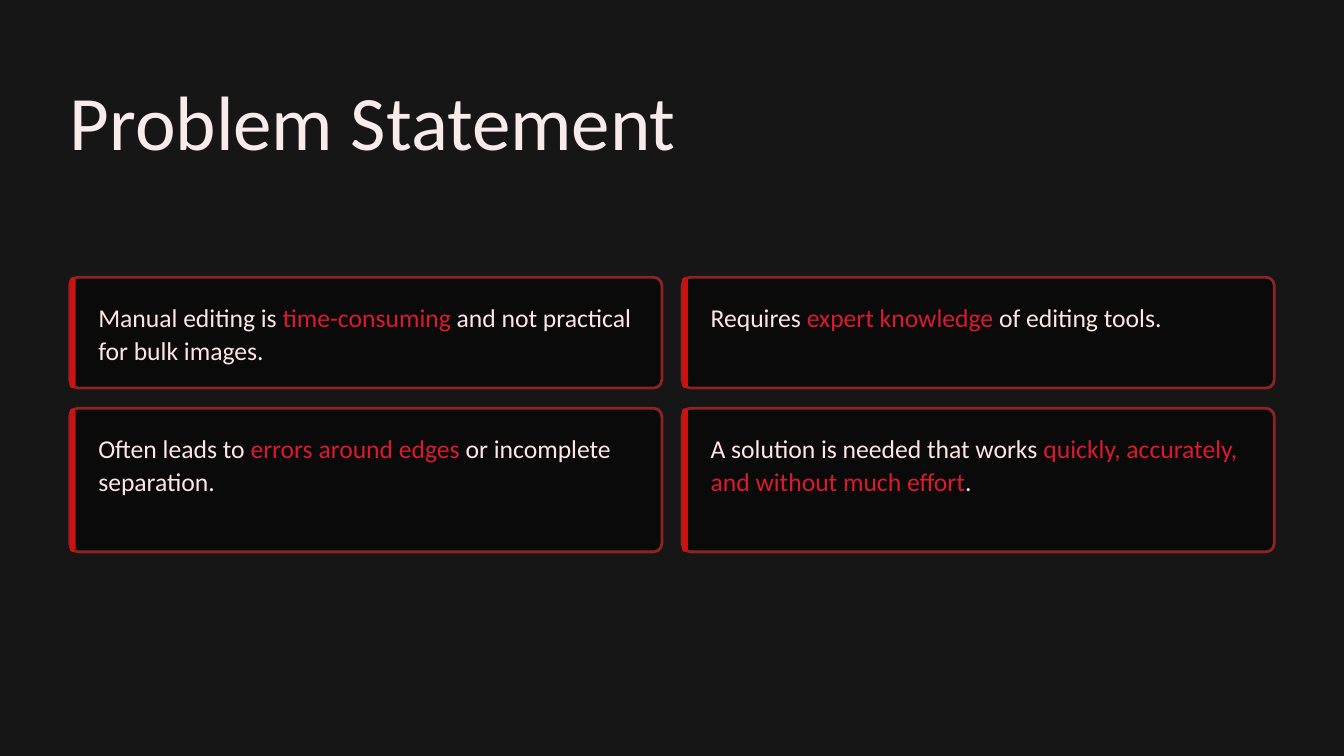
from lxml import etree
from pptx import Presentation
from pptx.dml.color import RGBColor
from pptx.enum.shapes import MSO_SHAPE
from pptx.enum.text import MSO_ANCHOR, MSO_AUTO_SIZE, PP_ALIGN
from pptx.oxml.ns import qn
from pptx.util import Inches, Pt

TITLE = "Problem Statement"
# Each card: text before, highlighted text, text after
CARD_ROWS = [
    [
        ("Manual editing is ", "time-consuming", " and not practical for bulk images."),
        ("Requires ", "expert knowledge", " of editing tools."),
    ],
    [
        ("Often leads to ", "errors around edges", " or incomplete separation."),
        ("A solution is needed that works ",
         "quickly, accurately, and without much effort", "."),
    ],
]

BACKGROUND = RGBColor(0x16, 0x16, 0x16)
CARD_FILL = RGBColor(0x0A, 0x0A, 0x0A)
CARD_BORDER = RGBColor(0x8D, 0x24, 0x24)
ACCENT = RGBColor(0xC9, 0x13, 0x13)
TITLE_COLOR = RGBColor(0xFA, 0xEB, 0xEB)
BODY_COLOR = RGBColor(0xFF, 0xE5, 0xE5)
HIGHLIGHT = RGBColor(0xDA, 0x1B, 0x2E)

ROUNDED = MSO_SHAPE.ROUNDED_RECTANGLE
TOP = MSO_ANCHOR.TOP
NO_AUTOFIT = MSO_AUTO_SIZE.NONE
LEFT = PP_ALIGN.LEFT

FONT = "Calibri"
LINE_SPACING = Pt(28)
SLIDE_WIDTH, SLIDE_HEIGHT = 16, 9
MARGIN = 0.83
GAP = 0.24
GRID_TOP = 3.3
ROW_HEIGHTS = [1.32, 1.71]
CARD_WIDTH = (SLIDE_WIDTH - 2 * MARGIN - GAP) / 2
CORNER_RADIUS = 0.1
STRIP_WIDTH = 0.07
PADDING_X, PADDING_Y = 0.34, 0.27


def add_rounded(slide, left, top, width, height, radius, color):
    shape = slide.shapes.add_shape(
        ROUNDED, Inches(left), Inches(top), Inches(width), Inches(height))
    shape.adjustments[0] = radius / min(width, height)
    shape.shadow.inherit = False
    shape.fill.solid()
    shape.fill.fore_color.rgb = color
    shape.line.fill.background()
    return shape


def set_opacity(shape, percent):
    color = shape.fill._xPr.find(qn("a:solidFill"))[0]
    etree.SubElement(color, qn("a:alpha")).set("val", str(percent * 1000))


def prepare_frame(text_frame):
    """Remove insets, wrap the text and return the first paragraph."""
    text_frame.margin_left = text_frame.margin_right = 0
    text_frame.margin_top = text_frame.margin_bottom = 0
    text_frame.word_wrap = True
    text_frame.auto_size = NO_AUTOFIT
    text_frame.vertical_anchor = TOP
    paragraph = text_frame.paragraphs[0]
    paragraph.alignment = LEFT
    paragraph.line_spacing = LINE_SPACING
    return paragraph


def add_run(paragraph, text, size, color):
    run = paragraph.add_run()
    run.text = text
    run.font.name = FONT
    run.font.size = Pt(size)
    run.font.color.rgb = color


def add_title(slide):
    title = slide.shapes.title
    title.left, title.top = Inches(MARGIN), Inches(1.59)
    title.width, title.height = Inches(7.4), Inches(0.47)
    add_run(prepare_frame(title.text_frame), TITLE, 66, TITLE_COLOR)


def add_card(slide, left, top, height, parts):
    card = add_rounded(slide, left, top, CARD_WIDTH, height, CORNER_RADIUS, CARD_FILL)
    set_opacity(card, 95)
    card.line.color.rgb = CARD_BORDER
    card.line.width = Pt(2.4)
    add_rounded(slide, left, top, STRIP_WIDTH, height, STRIP_WIDTH / 2, ACCENT)

    box = slide.shapes.add_textbox(
        Inches(left + PADDING_X), Inches(top + PADDING_Y),
        Inches(CARD_WIDTH - 0.6), Inches(height - 2 * PADDING_Y))
    paragraph = prepare_frame(box.text_frame)
    for text, color in zip(parts, (BODY_COLOR, HIGHLIGHT, BODY_COLOR)):
        add_run(paragraph, text, 22, color)


def main():
    presentation = Presentation()
    presentation.slide_width = Inches(SLIDE_WIDTH)
    presentation.slide_height = Inches(SLIDE_HEIGHT)
    slide = presentation.slides.add_slide(presentation.slide_layouts[5])
    slide.background.fill.solid()
    slide.background.fill.fore_color.rgb = BACKGROUND

    add_title(slide)
    top = GRID_TOP
    for cards, height in zip(CARD_ROWS, ROW_HEIGHTS):
        for column, parts in enumerate(cards):
            left = MARGIN + column * (CARD_WIDTH + GAP)
            add_card(slide, left, top, height, parts)
        top += height + GAP

    presentation.save("out.pptx")


if __name__ == "__main__":
    main()
